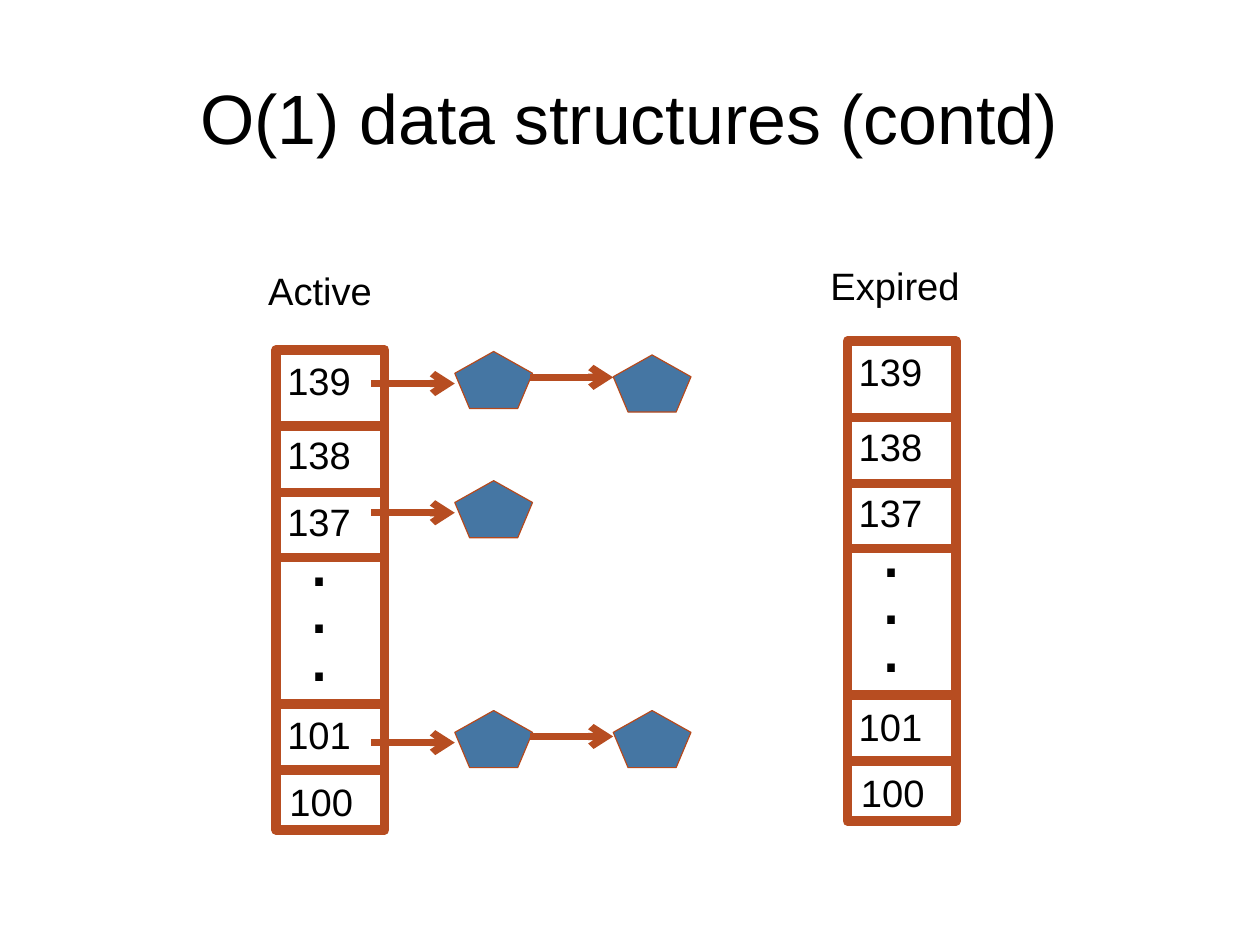
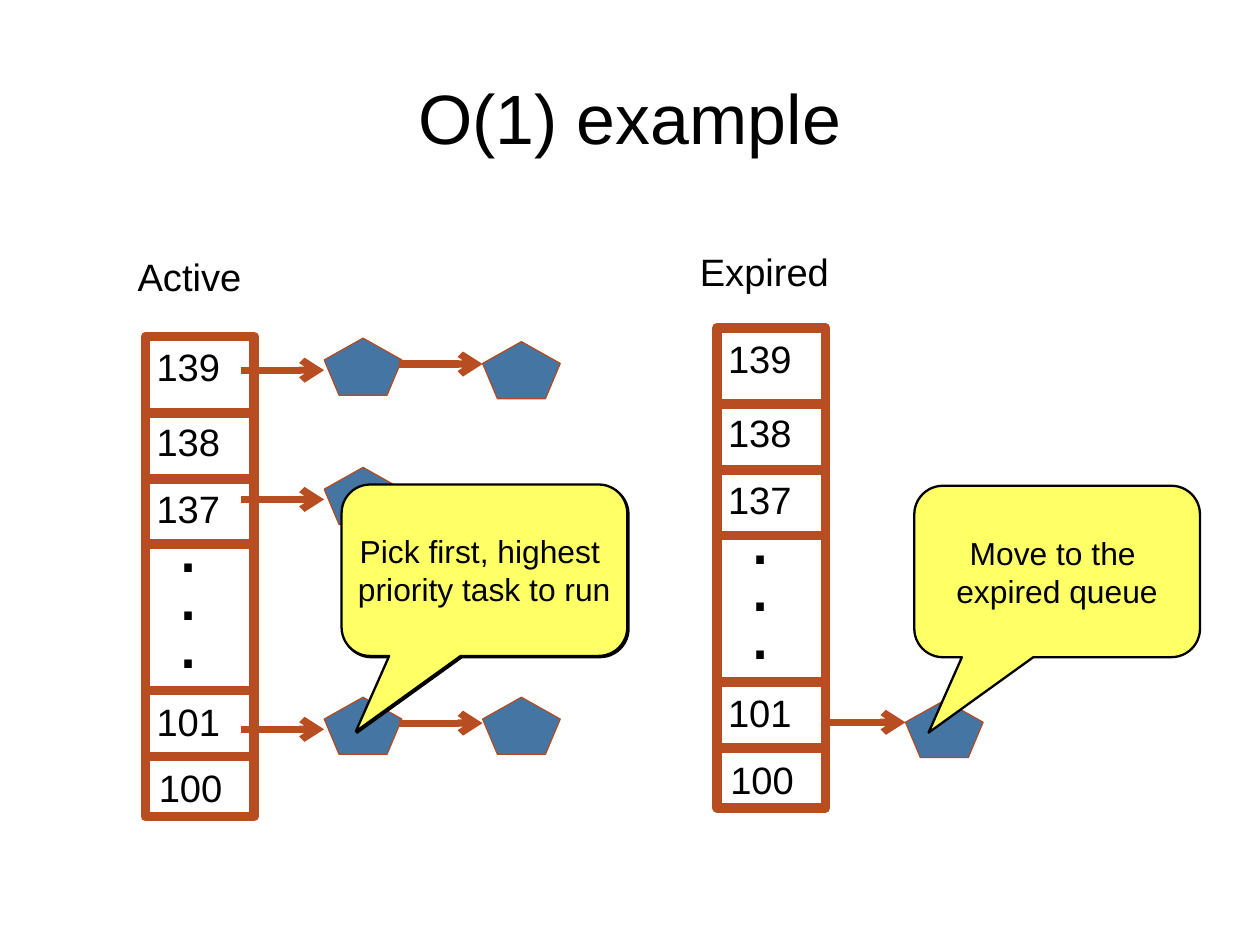
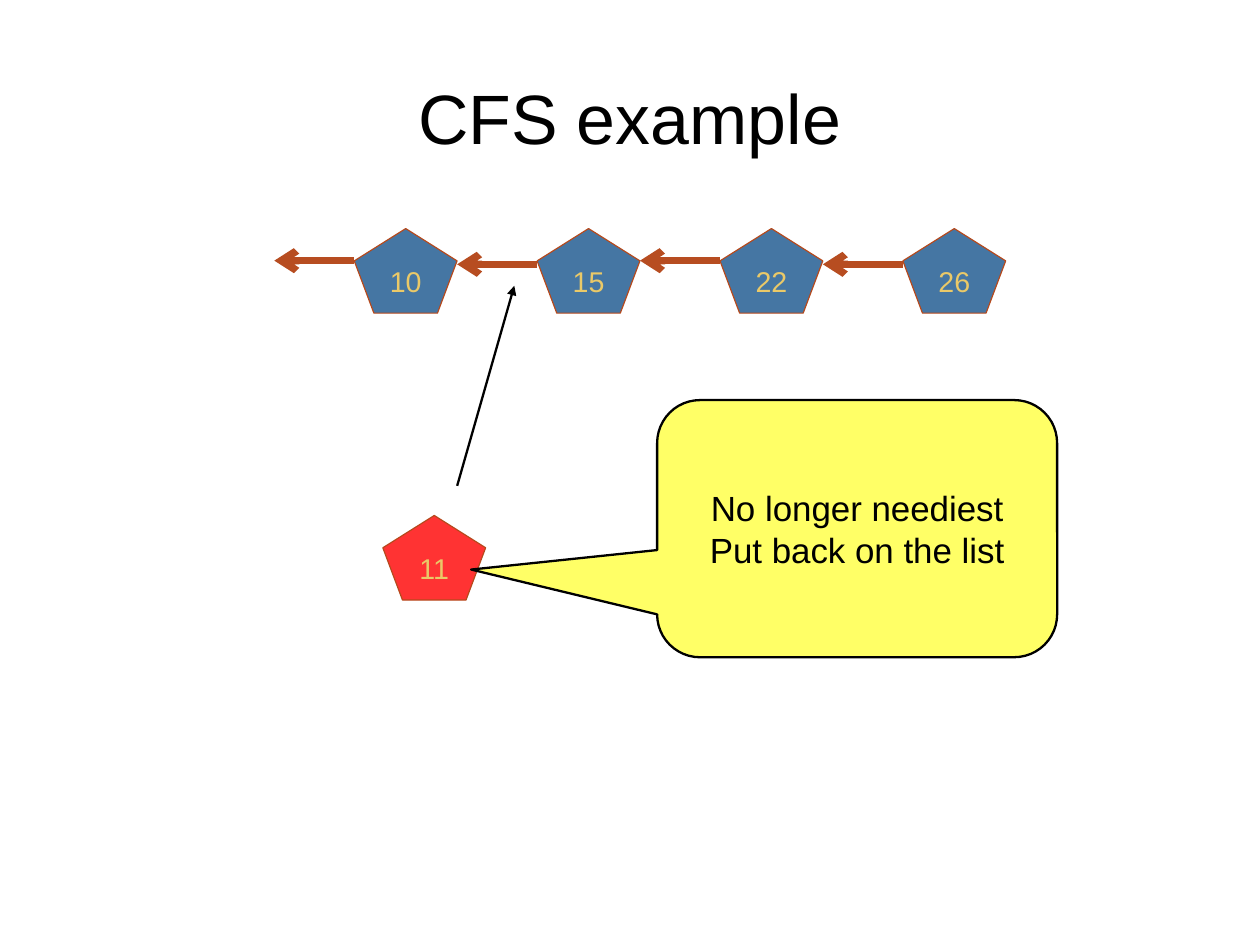
"""Three slides about O(1) and CFS scheduler data structures."""
from dataclasses import dataclass

from lxml import etree
from pptx import Presentation
from pptx import util as u
from pptx.dml.color import RGBColor
from pptx.enum import shapes, text
from pptx.oxml import ns


@dataclass(frozen=True)
class Theme:
    """Colours, font, type sizes and line widths shared by the slides."""
    font: str = "Arial"
    ink: str = "000000"
    frame: str = "B74D21"
    task_edge: str = "B6491C"
    task: str = "4576A3"
    task_text: str = "EAC968"
    running: str = "FF3333"
    note: str = "FFFF66"
    title_size: float = 44
    label_size: float = 24
    dots_size: float = 50
    task_size: float = 18
    note_size: float = 20
    big_note_size: float = 22
    frame_width: float = 6
    arrow_width: float = 4.5
    edge_width: float = 0.75
    note_width: float = 1.45


THEME = Theme()
PAGE = (793.75, 595.25)
TITLE_BOX = (39.6, 23.76, 714.24, 99.36)

ARRAY_SIZE = (68.4, 302.4)
DIVIDERS = (48, 89.7, 130.7, 223, 264.6)
CELLS = (("139", 0, 1), ("138", 0, 48), ("137", 0, 90),
         ("101", 0, 224.4), ("100", 1.4, 266.2))
DOTS_BOX = (13.4, 121.2, 60.5, 97.2)
LABEL_SIZE = (60.5, 36)
SMALL_TASK = (49, 36)
LARGE_TASK = (64.8, 53.3)
EXPIRED_SHIFT = (360, -5.5)


def points(*values):
    """Convert numbers to lengths in points."""
    return [u.Pt(value) for value in values]


def paint(shape, fill, line, width):
    """Give a shape its fill and outline, without a shadow."""
    shape.shadow.inherit = False
    if fill:
        shape.fill.solid()
        shape.fill.fore_color.rgb = RGBColor.from_string(fill)
    else:
        shape.fill.background()
    shape.line.color.rgb = RGBColor.from_string(line)
    shape.line.width = u.Pt(width)


def write(shape, lines, size, color=THEME.ink, centred=False, spacing=None,
          **frame_format):
    """Write one paragraph per line into a shape."""
    frame = shape.text_frame
    for name, value in {"word_wrap": True, **frame_format}.items():
        setattr(frame, name, value)
    align = text.PP_ALIGN.CENTER if centred else text.PP_ALIGN.LEFT
    paragraph_format = {"alignment": align, "line_spacing": spacing}
    font_format = {"name": THEME.font, "size": u.Pt(size)}
    for index, line in enumerate(lines):
        paragraph = frame.add_paragraph() if index else frame.paragraphs[0]
        for name, value in paragraph_format.items():
            setattr(paragraph, name, value)
        run = paragraph.add_run()
        run.text = line
        for name, value in font_format.items():
            setattr(run.font, name, value)
        run.font.color.rgb = RGBColor.from_string(color)


def add_text(slide, box, lines, size, **options):
    """Add a text box."""
    write(slide.shapes.add_textbox(*points(*box)), lines, size, **options)


def add_line(slide, start, end, color, width, head=None):
    """Add a straight line, with an arrowhead at its end if one is named."""
    line = slide.shapes.add_connector(
        shapes.MSO_CONNECTOR.STRAIGHT, *points(*start, *end))
    line.line.color.rgb = RGBColor.from_string(color)
    line.line.width = u.Pt(width)
    properties = line._element.spPr
    if head:
        etree.SubElement(properties.find(ns.qn("a:ln")), ns.qn("a:tailEnd"), type=head)
    etree.SubElement(properties, ns.qn("a:effectLst"))


def add_link(slide, start_x, end_x, y):
    """Add a level list arrow."""
    add_line(slide, (start_x, y), (end_x, y), THEME.frame, THEME.arrow_width, "arrow")


def add_task(slide, left, top, size=SMALL_TASK, label=None, fill=THEME.task):
    """Add a task pentagon, labelled if a label is given."""
    task = slide.shapes.add_shape(
        shapes.MSO_SHAPE.REGULAR_PENTAGON, *points(left, top, *size))
    paint(task, fill, THEME.task_edge, THEME.edge_width)
    if label:
        write(task, [label], THEME.task_size, THEME.task_text, centred=True,
              vertical_anchor=text.MSO_ANCHOR.MIDDLE)


def add_callout(slide, box, pointer, lines, size):
    """Add a yellow speech callout whose tip lies at the pointer ratios."""
    callout = slide.shapes.add_shape(
        shapes.MSO_SHAPE.ROUNDED_RECTANGULAR_CALLOUT, *points(*box))
    for index, value in enumerate((*pointer, 0.167)):
        callout.adjustments[index] = value
    paint(callout, THEME.note, THEME.ink, THEME.note_width)
    write(callout, lines, size, centred=True, word_wrap=False,
          vertical_anchor=text.MSO_ANCHOR.MIDDLE)


def add_priority_array(slide, left, top, heading, heading_box):
    """Add a headed column of priority cells at the given corner."""
    dx, dy, width = heading_box
    add_text(slide, (left + dx, top + dy, width, 36), [heading], THEME.label_size)
    frame = slide.shapes.add_shape(
        shapes.MSO_SHAPE.RECTANGLE, *points(left, top, *ARRAY_SIZE))
    paint(frame, None, THEME.frame, THEME.frame_width)
    for offset in DIVIDERS:
        add_line(slide, (left, top + offset), (left + ARRAY_SIZE[0], top + offset),
                 THEME.frame, THEME.frame_width)
    for label, dx, dy in CELLS:
        add_text(slide, (left + dx, top + dy, *LABEL_SIZE), [label], THEME.label_size)
    dx, dy, *size = DOTS_BOX
    add_text(slide, (left + dx, top + dy, *size), ["."] * 3, THEME.dots_size,
             spacing=0.5)


def add_run_queue(slide, left, top):
    """Add the active array with its task lists, and the expired array."""
    add_priority_array(slide, left, top, "Active", (-12, -55.8, 96))
    add_priority_array(slide, left + EXPIRED_SHIFT[0], top + EXPIRED_SHIFT[1],
                       "Expired", (-17.8, -53.3, 114))
    first_x, second_x = left + 112.6, left + 212.4
    for offset, second_drop in ((1, 2.2), (82.4, None), (227.2, 0)):
        y = top + offset
        add_link(slide, left + 60, first_x, y + 20.2)
        add_task(slide, first_x, y)
        if second_drop is not None:
            add_link(slide, left + 160, second_x, y + 16.3)
            add_task(slide, second_x, y + second_drop)


def add_titled_slide(presentation, title):
    """Add a blank slide with the shared title style."""
    slide = presentation.slides.add_slide(presentation.slide_layouts[6])
    margins = dict.fromkeys(
        ("margin_left", "margin_top", "margin_right", "margin_bottom"), 0)
    add_text(slide, TITLE_BOX, [title], THEME.title_size, centred=True,
             vertical_anchor=text.MSO_ANCHOR.MIDDLE, **margins)
    return slide


def build_structures(presentation):
    """Build the slide of both priority arrays."""
    slide = add_titled_slide(presentation, "O(1) data structures (contd)")
    add_run_queue(slide, 173.9, 220.4)


def build_o1_example(presentation):
    """Build the slide that moves a task to the expired array."""
    slide = add_titled_slide(presentation, "O(1) example")
    left, top = 91.6, 212
    add_run_queue(slide, left, top)
    task_x, task_y = left + 478.8, top + 229.2
    add_link(slide, task_x - 52, task_x, task_y + 13.8)
    add_task(slide, task_x, task_y)
    pick = ["Pick first, highest ", "priority task to run"]
    move = ["Move to the ", "expired queue"]
    for x, y, lines in ((216, 306, pick), (576, 306, move), (215.2, 305.2, pick)):
        add_callout(slide, (x, y, 180, 108), (-0.45, 0.94), lines, THEME.note_size)


def build_cfs_example(presentation):
    """Build the slide that puts a task back on the sorted list."""
    slide = add_titled_slide(presentation, "CFS example")
    left, top, gap = 223.2, 144, 50.4
    for index, label in enumerate(("10", "15", "22", "26")):
        x = left + index * (LARGE_TASK[0] + gap)
        add_link(slide, x, x - gap, top + (22.5 if index % 2 else 20.2))
        add_task(slide, x, top, LARGE_TASK, label)
    add_task(slide, 241.2, 324.7, LARGE_TASK, "11", THEME.running)
    add_callout(slide, (414, 252, 252, 162), (-0.965, 0.159),
                ["No longer neediest", "Put back on the list"], THEME.big_note_size)
    add_line(slide, (288, 306), (324, 180), THEME.ink, THEME.note_width, "triangle")


def main():
    """Build and save the presentation."""
    presentation = Presentation()
    presentation.slide_width, presentation.slide_height = points(*PAGE)
    for build in (build_structures, build_o1_example, build_cfs_example):
        build(presentation)
    presentation.save("out.pptx")


if __name__ == "__main__":
    main()
